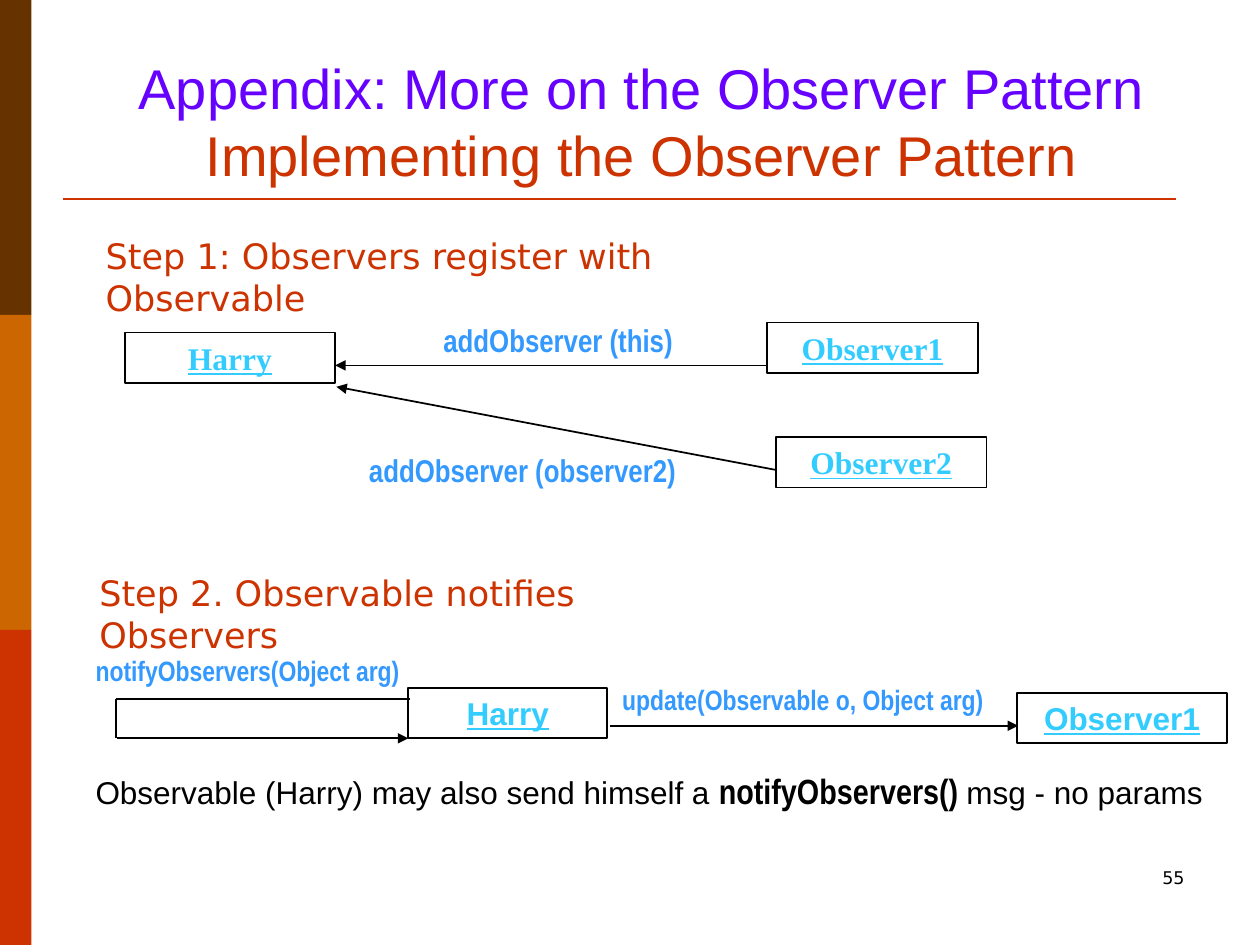
from dataclasses import dataclass

from lxml.etree import SubElement
from pptx import Presentation
from pptx.dml.color import RGBColor
from pptx.enum.shapes import MSO_CONNECTOR, MSO_SHAPE
from pptx.enum.text import MSO_ANCHOR, MSO_AUTO_SIZE, PP_ALIGN
from pptx.oxml.ns import qn
from pptx.util import Inches, Pt

COLORS = {
    "brown": "663300",
    "orange": "CC6600",
    "red": "CC3300",
    "violet": "6600FF",
    "cyan": "33CCFF",
    "blue": "3399FF",
    "black": "000000",
}
BOX_HEIGHT = 0.4


@dataclass(frozen=True)
class ObjectBox:
    name: str
    left: float
    top: float
    font: str
    width: float = 1.67


@dataclass(frozen=True)
class Label:
    text: str
    left: float
    top: float
    width: float
    height: float
    font: str = "Arial Narrow"
    size: float = 18
    color: str = "blue"
    bold: bool = True
    space_before: float = 0
    align: PP_ALIGN = PP_ALIGN.LEFT


@dataclass(frozen=True)
class Line:
    start: tuple[float, float]
    end: tuple[float, float]
    arrow: bool = True
    color: str = "black"
    weight: float = 1


OBJECT_BOXES = [
    ObjectBox("Harry", 0.99, 2.64, "Times New Roman"),
    ObjectBox("Observer1", 6.09, 2.56, "Times New Roman"),
    ObjectBox("Observer2", 6.16, 3.47, "Times New Roman"),
    ObjectBox("Harry", 3.24, 5.46, "Arial", width=1.58),
    ObjectBox("Observer1", 8.07, 5.5, "Arial"),
]

LABELS = [
    Label("Step 1: Observers register with Observable", 0.74, 1.81, 5.79, 0.44,
          "DejaVu Sans", 20, "red", False),
    Label("addObserver (this)", 3.42, 2.5, 2.08, 0.4, space_before=11.2),
    Label("addObserver (observer2)", 2.83, 3.53, 2.67, 0.4, space_before=11.2),
    Label("Step 2. Observable notifies Observers", 0.69, 4.49, 5.1, 0.44,
          "DejaVu Sans", 20, "red", False),
    Label("notifyObservers(Object arg)", 0.66, 5.14, 2.75, 0.36, size=16, space_before=10),
    Label("update(Observable o, Object arg)", 4.84, 5.37, 3.24, 0.36, size=16, space_before=10),
    Label("55", 7.17, 6.83, 2.33, 0.5, "DejaVu Sans", 10, "black", False,
          align=PP_ALIGN.RIGHT),
]

LINES = [
    Line((0.5, 1.58), (9.33, 1.58), arrow=False, color="red", weight=1.5),
    Line((6.09, 2.9), (2.66, 2.9)),
    Line((6.16, 3.73), (2.67, 3.07)),
    Line((4.84, 5.76), (8.08, 5.76)),
    # Harry's message to himself
    Line((3.25, 5.55), (0.92, 5.55), arrow=False),
    Line((0.92, 5.55), (0.92, 5.86), arrow=False),
    Line((0.93, 5.86), (3.24, 5.86)),
]


def rgb(color: str) -> RGBColor:
    return RGBColor.from_string(COLORS[color])


def add_run(paragraph, text: str, *, font: str = "Arial", size: float = 18,
            color: str = "black", bold: bool = False, underline: bool = False) -> None:
    run = paragraph.add_run()
    run.text = text
    run.font.name = font
    run.font.size = Pt(size)
    run.font.color.rgb = rgb(color)
    run.font.bold = bold
    run.font.underline = underline


def prepare_paragraph(shape, align: PP_ALIGN = PP_ALIGN.LEFT, space_before: float = 0,
                      anchor: MSO_ANCHOR = MSO_ANCHOR.TOP):
    """Set up the text frame of a shape and return its first paragraph."""
    frame = shape.text_frame
    frame.word_wrap = True
    frame.auto_size = MSO_AUTO_SIZE.NONE
    frame.vertical_anchor = anchor
    paragraph = frame.paragraphs[0]
    paragraph.alignment = align
    paragraph.space_before = Pt(space_before)
    return paragraph


def add_text_box(slide, left: float, top: float, width: float, height: float):
    return slide.shapes.add_textbox(Inches(left), Inches(top), Inches(width), Inches(height))


def add_rectangle(slide, left: float, top: float, width: float, height: float):
    rectangle = slide.shapes.add_shape(
        MSO_SHAPE.RECTANGLE, Inches(left), Inches(top), Inches(width), Inches(height))
    rectangle.shadow.inherit = False
    return rectangle


def draw_side_bands(slide) -> None:
    for row, color in enumerate(("brown", "orange", "red")):
        band = add_rectangle(slide, 0, 2.5 * row, 0.25, 2.5)
        band.fill.solid()
        band.fill.fore_color.rgb = rgb(color)
        band.line.fill.background()


def draw_title(slide) -> None:
    title = slide.shapes.title
    title.left, title.top = Inches(0.51), Inches(0.5)
    title.width, title.height = Inches(9.17), Inches(0.92)
    paragraph = prepare_paragraph(title, PP_ALIGN.CENTER, anchor=MSO_ANCHOR.MIDDLE)
    add_run(paragraph, "Appendix: More on the Observer Pattern", size=32, color="violet")
    add_run(paragraph, " ", font="DejaVu Sans")
    add_run(paragraph, "Implementing the Observer Pattern", size=32, color="red")


def draw_object_box(slide, box: ObjectBox) -> None:
    rectangle = add_rectangle(slide, box.left, box.top, box.width, BOX_HEIGHT)
    rectangle.fill.background()
    rectangle.line.color.rgb = rgb("black")
    rectangle.line.width = Pt(1)
    paragraph = prepare_paragraph(rectangle, PP_ALIGN.CENTER, 11.2)
    add_run(paragraph, box.name, font=box.font, color="cyan", bold=True, underline=True)


def draw_label(slide, label: Label) -> None:
    text_box = add_text_box(slide, label.left, label.top, label.width, label.height)
    paragraph = prepare_paragraph(text_box, label.align, label.space_before)
    add_run(paragraph, label.text, font=label.font, size=label.size,
            color=label.color, bold=label.bold)


def draw_line(slide, line: Line) -> None:
    connector = slide.shapes.add_connector(
        MSO_CONNECTOR.STRAIGHT, *map(Inches, line.start + line.end))
    connector.line.color.rgb = rgb(line.color)
    connector.line.width = Pt(line.weight)
    properties = connector._element.spPr
    if line.arrow:
        SubElement(properties.find(qn("a:ln")), qn("a:tailEnd"), type="triangle")
    SubElement(properties, qn("a:effectLst"))


def draw_remark(slide) -> None:
    paragraph = prepare_paragraph(add_text_box(slide, 0.66, 6.06, 9.25, 0.43), space_before=11.2)
    add_run(paragraph, "Observable (Harry) may also send himself a")
    add_run(paragraph, " ", font="Times New Roman", size=20)
    add_run(paragraph, "notifyObservers() ", font="Arial Narrow", size=20, bold=True)
    add_run(paragraph, "msg - no params")


def main() -> None:
    presentation = Presentation()
    presentation.slide_width, presentation.slide_height = Inches(10), Inches(7.5)
    slide = presentation.slides.add_slide(presentation.slide_layouts.get_by_name("Title Only"))
    draw_side_bands(slide)
    draw_title(slide)
    for box in OBJECT_BOXES:
        draw_object_box(slide, box)
    for line in LINES:
        draw_line(slide, line)
    for label in LABELS:
        draw_label(slide, label)
    draw_remark(slide)
    presentation.save("out.pptx")


if __name__ == "__main__":
    main()
